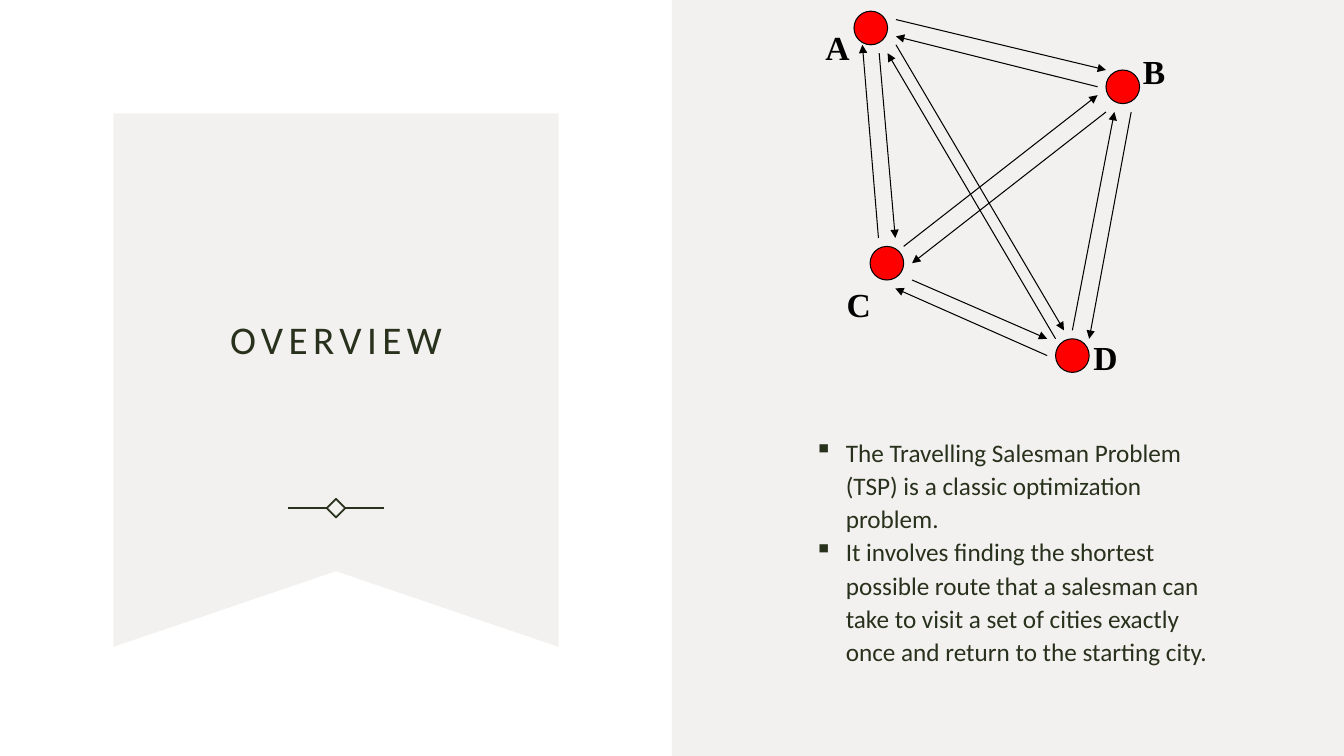
from lxml import etree
from pptx import Presentation
from pptx.dml.color import RGBColor
from pptx.enum.shapes import MSO_CONNECTOR as Connector, MSO_SHAPE as Preset
from pptx.enum.text import MSO_ANCHOR as Anchor, PP_ALIGN as Align
from pptx.oxml.ns import qn
from pptx.util import Pt

# Content
HEADING = "OVERVIEW"
POINTS = [
    "The Travelling Salesman Problem (TSP) is a classic optimization problem.",
    "It involves finding the shortest possible route that a salesman can take "
    "to visit a set of cities exactly once and return to the starting city.",
]
# City: centre, then left, top and width of its letter
CITIES = {
    "A": ((622, 20), (582.5, 15.8, 31.7)),
    "B": ((802, 62), (809.3, 33.1, 30.4)),
    "C": ((633.5, 188), (597.6, 199.4, 31.7)),
    "D": ((766, 254), (774, 236.9, 31.7)),
}
# Road: start city, end city, offset from each city's centre
ROADS = [
    ("C", "A", (-6, -18), (-6, 12)),
    ("A", "C", (6, 18), (6, -18)),
    ("A", "B", (18, -6), (-12, -12)),
    ("B", "A", (-18, 0), (18, 6)),
    ("B", "D", (6, 18), (12, -12)),
    ("D", "B", (0, -18), (-6, 18)),
    ("D", "C", (-18, 0), (6, 18)),
    ("C", "D", (18, 12), (-18, -12)),
    ("A", "D", (18, 12), (-6, -18)),
    ("D", "A", (-12, -12), (12, 18)),
    ("C", "B", (12, -12), (-18, 6)),
    ("B", "C", (-12, 18), (18, 0)),
]
COLORS = {"panel": "F3F1F0", "ink": "28311C", "city": "FF0000", "black": "000000"}
WIDTH, HEIGHT = 960, 540
CITY_SIZE = 24
BANNER = [(80.6, 80.6), (398.9, 80.6), (398.9, 462.2), (239.8, 408.2), (80.6, 462.2)]
ORNAMENT_X, ORNAMENT_Y = 240, 363

deck = Presentation()
deck.slide_width, deck.slide_height = Pt(WIDTH), Pt(HEIGHT)
slide = deck.slides.add_slide(deck.slide_layouts[6])
shapes = slide.shapes


def color(name):
    return RGBColor.from_string(COLORS[name])


def paint(shape, fill=None, line=None, weight=0.75):
    shape.shadow.inherit = False
    if fill:
        shape.fill.solid()
        shape.fill.fore_color.rgb = color(fill)
    else:
        shape.fill.background()
    if line:
        shape.line.color.rgb = color(line)
        shape.line.width = Pt(weight)
    else:
        shape.line.fill.background()


def add_line(start, end, ink, weight, arrow=False):
    line = shapes.add_connector(Connector.STRAIGHT, *map(Pt, (*start, *end)))
    line.line.color.rgb = color(ink)
    line.line.width = Pt(weight)
    if arrow:
        etree.SubElement(line.line._get_or_add_ln(), qn("a:tailEnd"), type="triangle")
    etree.SubElement(line._element.spPr, qn("a:effectLst"))


def add_text(box, lines, size, font, ink, bold=False, wrap=True, anchor=Anchor.MIDDLE):
    frame = shapes.add_textbox(*map(Pt, box)).text_frame
    frame.word_wrap = wrap
    frame.vertical_anchor = anchor
    frame.text = "\n".join(lines)
    for paragraph in frame.paragraphs:
        style = paragraph.runs[0].font
        style.size, style.name, style.bold = Pt(size), font, bold
        style.color.rgb = color(ink)
    return frame.paragraphs


# Right panel and banner
panel = shapes.add_shape(Preset.RECTANGLE, Pt(WIDTH / 2), 0, Pt(WIDTH / 2), Pt(HEIGHT))
paint(panel, "panel")
outline = shapes.build_freeform(*BANNER[0], scale=Pt(1))
outline.add_line_segments(BANNER[1:], close=True)
paint(outline.convert_to_shape(), "panel")

# Ornament under the heading
side = 9.4
diamond = shapes.add_shape(Preset.RECTANGLE, Pt(ORNAMENT_X - side / 2),
                           Pt(ORNAMENT_Y - side / 2), Pt(side), Pt(side))
diamond.rotation = 45
paint(diamond, line="ink", weight=1.25)
for direction in (1, -1):
    add_line((ORNAMENT_X + direction * 6.5, ORNAMENT_Y),
             (ORNAMENT_X + direction * 34.3, ORNAMENT_Y), "ink", 1.25)

# Heading
heading = add_text((98, 147, 284, 186.5), [HEADING], 28, "Calibri", "ink")[0]
heading.alignment = Align.CENTER
heading.line_spacing = 1.1
heading.runs[0].font._element.set("spc", "390")

# Bulleted points
for point in add_text((574.6, 301, 305.3, 184), POINTS, 18, "Calibri", "ink"):
    point.line_spacing = 1.1
    layout = point._p.get_or_add_pPr()
    layout.set("marL", str(Pt(22.5)))
    layout.set("indent", str(Pt(-22.5)))
    etree.SubElement(layout, qn("a:buChar"), char="▪")

# Cities with their letters
for letter, ((x, y), (left, top, width)) in CITIES.items():
    city = shapes.add_shape(Preset.OVAL, Pt(x - CITY_SIZE / 2), Pt(y - CITY_SIZE / 2),
                            Pt(CITY_SIZE), Pt(CITY_SIZE))
    paint(city, "city", "black")
    add_text((left, top, width, 36), [letter], 24, "Times New Roman", "black",
             bold=True, wrap=False, anchor=Anchor.TOP)

# Roads in both directions
for origin, target, start_shift, end_shift in ROADS:
    start, end = (
        [centre + shift for centre, shift in zip(CITIES[name][0], shifts)]
        for name, shifts in ((origin, start_shift), (target, end_shift))
    )
    add_line(start, end, "black", 0.75, arrow=True)

deck.save("out.pptx")
